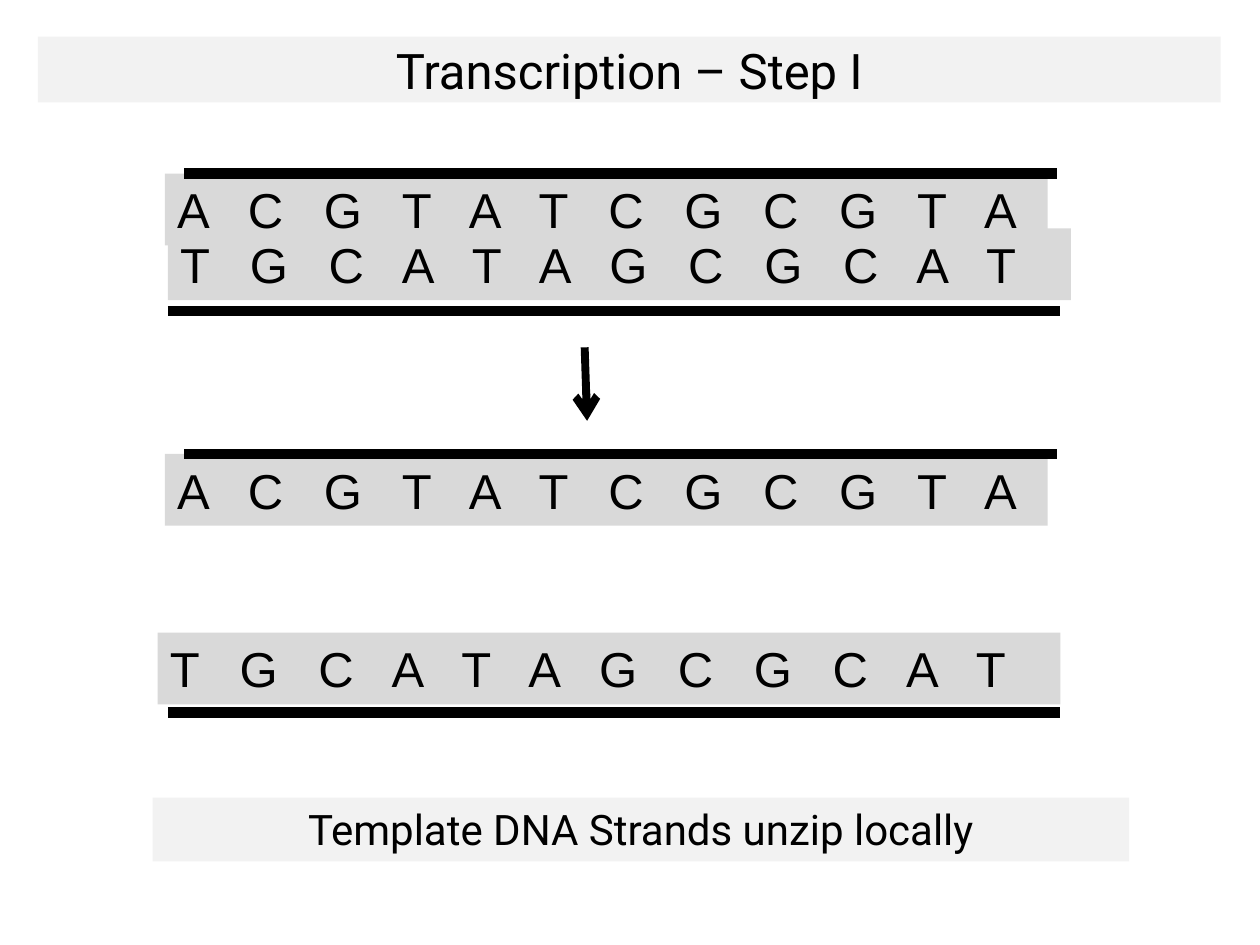
from lxml import etree
from pptx import Presentation
from pptx import util as u
from pptx.dml import color
from pptx.enum import shapes, text
from pptx.oxml import ns

BLACK = "000000"
PALE = "F2F2F2"
GREY = "D9D9D9"
CODING = "ACGTATCGCGTA"
TEMPLATE = "TGCATAGCGCAT"
LETTER_GAP = 7.78


def rgb(value):
    return color.RGBColor.from_string(value)


def add_label(parent, words, left, top, width, height, fill, font, size,
              align, anchor=text.MSO_ANCHOR.TOP):
    box = parent.add_textbox(u.Pt(left), u.Pt(top), u.Pt(width), u.Pt(height))
    box.fill.solid()
    box.fill.fore_color.rgb = rgb(fill)
    frame = box.text_frame
    frame.word_wrap = True
    frame.vertical_anchor = anchor
    para = frame.paragraphs[0]
    para.alignment = align
    span = para.add_run()
    span.text = words
    span.font.name = font
    span.font.size = u.Pt(size)
    span.font.color.rgb = rgb(BLACK)
    return span


def add_line(parent, start, end, weight):
    line = parent.add_connector(shapes.MSO_CONNECTOR.STRAIGHT,
                                *(u.Pt(value) for value in (*start, *end)))
    line.line.color.rgb = rgb(BLACK)
    line.line.width = u.Pt(weight)
    etree.SubElement(line._element.spPr, ns.qn("a:effectLst"))
    return line


def add_arrow(parent, start, end, weight):
    arrow = add_line(parent, start, end, weight)
    outline = arrow.line._get_or_add_ln()
    etree.SubElement(outline, ns.qn("a:tailEnd"), type="arrow")


def add_strand(group, bases, left, top, width):
    span = add_label(group.shapes, " ".join(bases), left, top, width, 41,
                     GREY, "Arial", 28, text.PP_ALIGN.LEFT)
    span.font._element.set("spc", str(round(LETTER_GAP * 100)))


def add_coding_strand(group, top):
    add_strand(group, CODING, 94.2, top, 504.5)
    add_line(group.shapes, (105.3, top), (604.1, top), 6)


def add_template_strand(group, left, top, backbone):
    add_strand(group, TEMPLATE, left, top, 516)
    add_line(group.shapes, (95.9, backbone), (606, backbone), 6)


def main():
    deck = Presentation()
    deck.slide_width, deck.slide_height = u.Pt(720), u.Pt(540)
    page = deck.slides.add_slide(deck.slide_layouts[6])
    center = text.PP_ALIGN.CENTER

    add_label(page.shapes, "Transcription – Step I", 21.6, 21, 676, 37.6,
              PALE, "Roboto", 28, center, text.MSO_ANCHOR.MIDDLE)

    helix = page.shapes.add_group_shape()
    add_template_strand(helix, 95.9, 130.6, 177.6)
    add_coding_strand(helix, 99.2)

    add_label(page.shapes, "Template DNA Strands unzip locally",
              87.2, 455.8, 558, 36.4, PALE, "Roboto", 24, center)
    add_arrow(page.shapes, (334.1, 198.5), (335.5, 240.5), 4.5)

    add_coding_strand(page.shapes.add_group_shape(), 259.4)
    add_template_strand(page.shapes.add_group_shape(), 90, 361.6, 407.3)

    deck.save("out.pptx")


if __name__ == "__main__":
    main()
